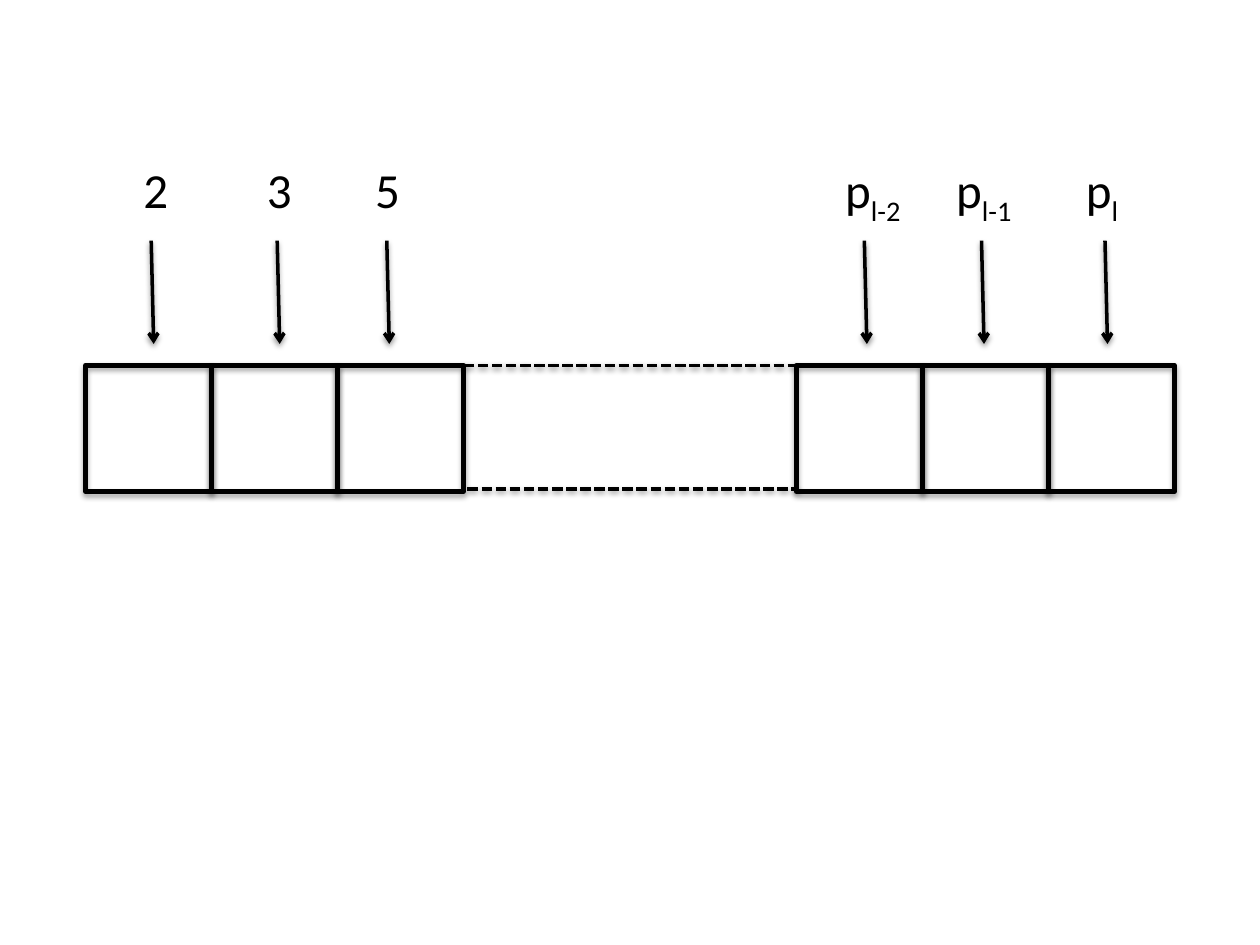
from lxml import etree
from pptx import Presentation
from pptx import util as u
from pptx.dml.color import RGBColor
from pptx.enum import dml, shapes, text
from pptx.oxml.ns import qn

BLACK = "000000"
CELL = 1
CELL_TOP = 2.9
LEFT_START = 0.68
RIGHT_START = 6.32
LABEL_TOP = 1.22
LABEL_HEIGHT = 0.57
ARROW_TOP = 1.91
ARROW_DROP = 0.82
ARROW_SLANT = 0.02

# text, subscript, label left, label width, arrow x
MARKERS = [
    ("2", "", 1.04, 0.4, 1.2),
    ("3", "", 2.02, 0.4, 2.2),
    ("5", "", 2.88, 0.4, 3.07),
    ("p", "l-2", 6.61, 0.68, 6.86),
    ("p", "l-1", 7.49, 0.68, 7.79),
    ("p", "l", 8.52, 0.47, 8.77),
]


def color(value):
    return RGBColor.from_string(value)


def add_shadow(sp, alpha, distance):
    effects = etree.SubElement(sp._element.spPr, qn("a:effectLst"))
    shadow = etree.SubElement(
        effects, qn("a:outerShdw"), blurRad=str(u.Pt(3.1)),
        dist=str(u.Pt(distance)), dir="5400000", rotWithShape="0")
    shade = etree.SubElement(shadow, qn("a:srgbClr"), val=BLACK)
    etree.SubElement(shade, qn("a:alpha"), val=str(alpha * 1000))


def add_cell(parent, left):
    sp = parent.add_shape(
        shapes.MSO_SHAPE.RECTANGLE, u.Inches(left), u.Inches(CELL_TOP),
        u.Inches(CELL), u.Inches(CELL))
    sp.fill.background()
    sp.line.color.rgb = color(BLACK)
    sp.line.width = u.Pt(3)
    add_shadow(sp, 35, 1.8)


def add_line(s, start, end, dash=None, arrow=False):
    line = s.shapes.add_connector(
        shapes.MSO_CONNECTOR.STRAIGHT, *map(u.Inches, start + end))
    line.line.color.rgb = color(BLACK)
    line.line.width = u.Pt(2)
    if dash:
        line.line.dash_style = dash
    if arrow:
        etree.SubElement(line.line._get_or_add_ln(), qn("a:tailEnd"), type="arrow")
    add_shadow(line, 38, 1.6)


def add_run(p, content, size=28, font="Calibri", fill=BLACK, baseline=0):
    r = p.add_run()
    r.text = content
    r.font.size = u.Pt(size)
    r.font.name = font
    r.font.color.rgb = color(fill)
    if baseline:
        r.font._element.set("baseline", str(baseline * 1000))


def add_label(s, content, subscript, left, width):
    sp = s.shapes.add_textbox(
        u.Inches(left), u.Inches(LABEL_TOP), u.Inches(width), u.Inches(LABEL_HEIGHT))
    tf = sp.text_frame
    tf.word_wrap = False
    tf.auto_size = text.MSO_AUTO_SIZE.SHAPE_TO_FIT_TEXT
    p = tf.paragraphs[0]
    add_run(p, content)
    if subscript:
        add_run(p, subscript, baseline=-25)


def main():
    prs = Presentation()
    prs.slide_width, prs.slide_height = u.Inches(10), u.Inches(7.5)
    s = prs.slides.add_slide(prs.slide_layouts[6])

    for i in reversed(range(3)):
        add_cell(s.shapes, RIGHT_START + i * CELL)
    group = s.shapes.add_group_shape()
    for i in range(3):
        add_cell(group.shapes, LEFT_START + i * CELL)

    for left, right, y in [(3.68, 6.32, 2.9), (3.71, 6.34, 3.88)]:
        add_line(s, (left, y), (right, y), dash=dml.MSO_LINE.SQUARE_DOT)

    for content, subscript, left, width, x in MARKERS:
        add_label(s, content, subscript, left, width)
        add_line(s, (x, ARROW_TOP), (x + ARROW_SLANT, ARROW_TOP + ARROW_DROP), arrow=True)

    prs.save("out.pptx")


if __name__ == "__main__":
    main()
